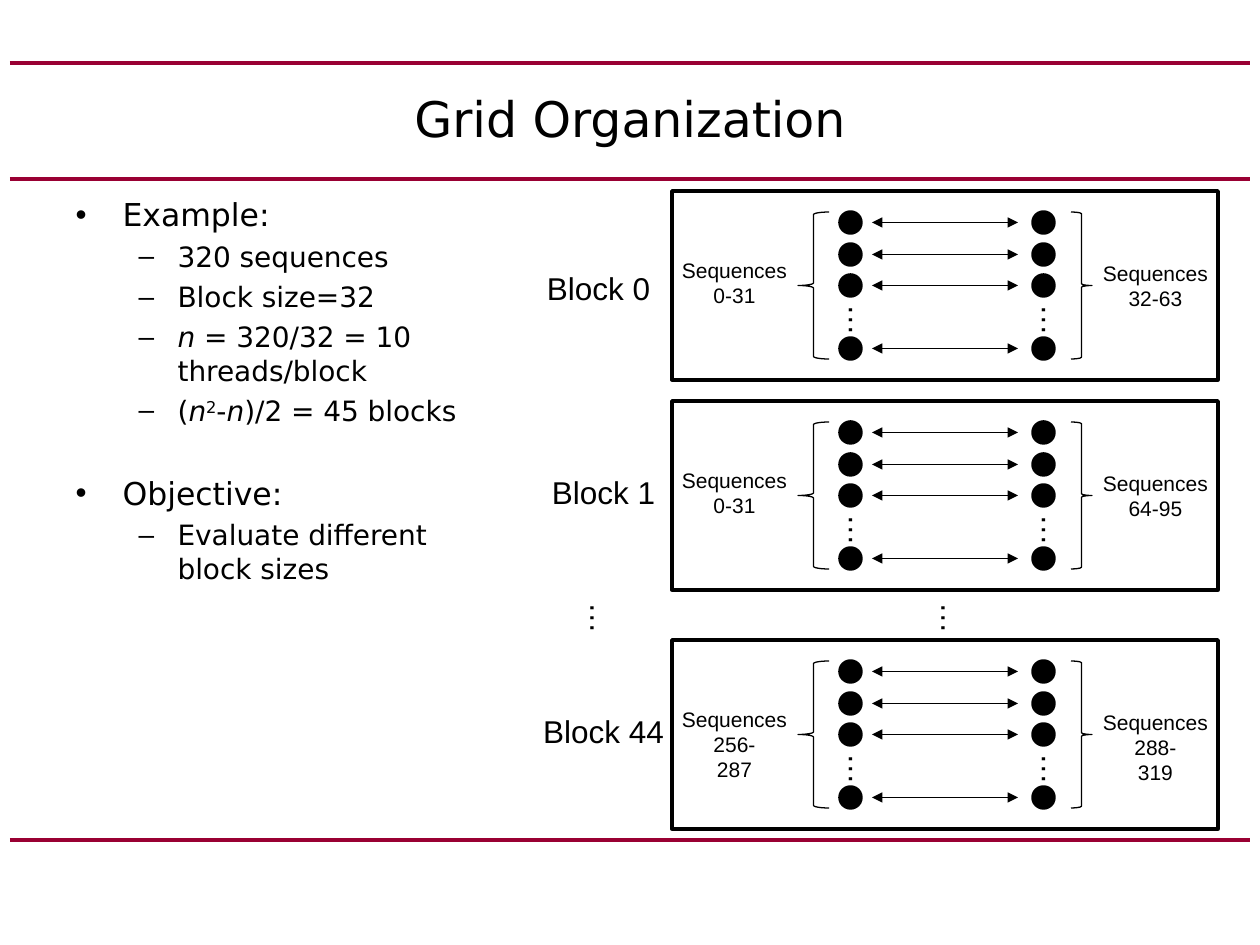
from lxml import etree
from pptx import Presentation
from pptx.dml.color import RGBColor
from pptx.enum.shapes import MSO_CONNECTOR, MSO_SHAPE
from pptx.enum.text import MSO_ANCHOR, MSO_AUTO_SIZE, PP_ALIGN
from pptx.oxml.ns import qn
from pptx.util import Emu, Pt

STRAIGHT = MSO_CONNECTOR.STRAIGHT
OVAL, RECTANGLE = MSO_SHAPE.OVAL, MSO_SHAPE.RECTANGLE
LEFT_BRACE, RIGHT_BRACE = MSO_SHAPE.LEFT_BRACE, MSO_SHAPE.RIGHT_BRACE
CENTER, LEFT = PP_ALIGN.CENTER, PP_ALIGN.LEFT
MIDDLE, TOP = MSO_ANCHOR.MIDDLE, MSO_ANCHOR.TOP
NO_FIT = MSO_AUTO_SIZE.NONE

COLORS = {"ink": "000000", "rule": "990033"}
TITLE_FONT, DIAGRAM_FONT = "DejaVu Sans", "Arial"

TITLE = "Grid Organization"
OUTLINE = [
    (0, 0, [("Example:", "")]),
    (1, 3.7, [("320 sequences", "")]),
    (1, 3.7, [("Block size=32", "")]),
    (1, 3.7, [("n", "italic"), (" = 320/32 = 10 threads/block", "")]),
    (1, 3.7, [("(", ""), ("n", "italic"), ("2", "super"), ("-", ""),
              ("n", "italic"), (")/2 = 45 blocks", "")]),
    (0, 26.6, [("Objective:", "")]),
    (1, 3.7, [("Evaluate different block sizes", "")]),
]
LEVELS = [
    {"bullet": "•", "size": 18, "margin": 47, "hang": 47},
    {"bullet": "–", "size": 16, "margin": 102, "hang": 39},
]
BLOCKS = [
    {"top": 191, "name": "Block 0", "name_at": (504, 263),
     "sequences": (["0-31"], ["32-63"])},
    {"top": 401, "name": "Block 1", "name_at": (509, 467),
     "sequences": (["0-31"], ["64-95"])},
    {"top": 640, "name": "Block 44", "name_at": (509, 706),
     "sequences": (["256-", "287"], ["288-", "319"])},
]
SIDES = [
    {"dots": 840, "ellipsis": 825, "label": (640, 60),
     "brace": (LEFT_BRACE, 798, 31)},
    {"dots": 1033, "ellipsis": 1018, "label": (1061, 63),
     "brace": (RIGHT_BRACE, 1071, 21)},
]
RULES = [63, 179, 840]
BLOCK_GAP_ELLIPSES = [561, 912]
DOT = 21
DOT_ROWS = [21, 53, 84, 147]
ARROW_SPAN = (872, 1018)


def px(n):
    return Emu(round(n * 914400 / 126))


def color(name):
    return RGBColor.from_string(COLORS[name])


def set_font(paragraph, size, family):
    paragraph.font.size = Pt(size)
    paragraph.font.name = family
    paragraph.font.color.rgb = color("ink")


def add_line(start, end, width, shade, arrows=False):
    line = slide.shapes.add_connector(STRAIGHT, *map(px, start + end))
    line.line.color.rgb = color(shade)
    line.line.width = Pt(width)
    if arrows:
        outline = line.line._get_or_add_ln()
        for end_tag in ("a:headEnd", "a:tailEnd"):
            etree.SubElement(outline, qn(end_tag), type="triangle")
    etree.SubElement(line._element.spPr, qn("a:effectLst"))


def add_outline(shapes, kind, box, width, filled=False):
    shape = shapes.add_shape(kind, *map(px, box))
    shape.shadow.inherit = False
    if filled:
        shape.fill.solid()
        shape.fill.fore_color.rgb = color("ink")
    else:
        shape.fill.background()
    shape.line.color.rgb = color("ink")
    shape.line.width = Pt(width)


def add_text(shapes, lines, box, size, rotation=0):
    label = shapes.add_textbox(*map(px, box))
    label.rotation = rotation
    frame = label.text_frame
    frame.word_wrap = True
    frame.text = "\n".join(lines)
    for paragraph in frame.paragraphs:
        paragraph.alignment = CENTER
        set_font(paragraph, size, DIAGRAM_FONT)


def place(placeholder, box, anchor):
    placeholder.left, placeholder.top, placeholder.width, placeholder.height = map(px, box)
    frame = placeholder.text_frame
    frame.auto_size = NO_FIT
    frame.vertical_anchor = anchor
    return frame


def add_block(block):
    top = block["top"]
    for side, numbers in zip(SIDES, block["sequences"]):
        column = slide.shapes.add_group_shape().shapes
        for row in DOT_ROWS:
            add_outline(column, OVAL, (side["dots"], top + row, DOT, DOT), 2, True)
        add_text(column, ["…"], (side["ellipsis"], top + 104, 73, 50), 18, 90)
        x, drop = side["label"]
        lines = ["Sequences"] + numbers
        add_text(slide.shapes, lines, (x, top + drop, 189, 12 + 26 * len(lines)), 12)
        kind, x, width = side["brace"]
        add_outline(slide.shapes, kind, (x, top + DOT_ROWS[0], width, 147), 0.75)
    for row in DOT_ROWS:
        y = top + row + DOT / 2
        add_line((ARROW_SPAN[0], y), (ARROW_SPAN[1], y), 0.75, "ink", True)
    add_outline(slide.shapes, RECTANGLE, (672, top, 546, 189), 2)
    add_text(slide.shapes, [block["name"]], block["name_at"] + (189, 50), 18)


def fill_outline(frame):
    for index, (level, space, runs) in enumerate(OUTLINE):
        paragraph = frame.paragraphs[0] if index == 0 else frame.add_paragraph()
        style = LEVELS[level]
        paragraph.level = level
        paragraph.alignment = LEFT
        paragraph.line_spacing = 1.0
        paragraph.space_before = Pt(space)
        properties = paragraph._p.get_or_add_pPr()
        properties.set("marL", str(px(style["margin"])))
        properties.set("indent", str(px(-style["hang"])))
        etree.SubElement(properties, qn("a:buChar"), char=style["bullet"])
        set_font(paragraph, style["size"], TITLE_FONT)
        for text, form in runs:
            run = paragraph.add_run()
            run.text = text
            if form == "italic":
                run.font.italic = True
            elif form == "super":
                run._r.get_or_add_rPr().set("baseline", "30000")


prs = Presentation()
prs.slide_width, prs.slide_height = px(1260), px(945)
slide = prs.slides.add_slide(prs.slide_layouts[1])

for y in RULES:
    add_line((10, y), (1250, y), 2.25, "rule")

title = place(slide.shapes.title, (63, 63, 1134, 110), MIDDLE)
title.text = TITLE
title.paragraphs[0].alignment = CENTER
set_font(title.paragraphs[0], 28, TITLE_FONT)

fill_outline(place(slide.placeholders[1], (63, 189, 431, 640), TOP))

for block in BLOCKS:
    add_block(block)
for x in BLOCK_GAP_ELLIPSES:
    add_text(slide.shapes, ["…"], (x, 593, 84, 50), 18, 90)

prs.save("out.pptx")
